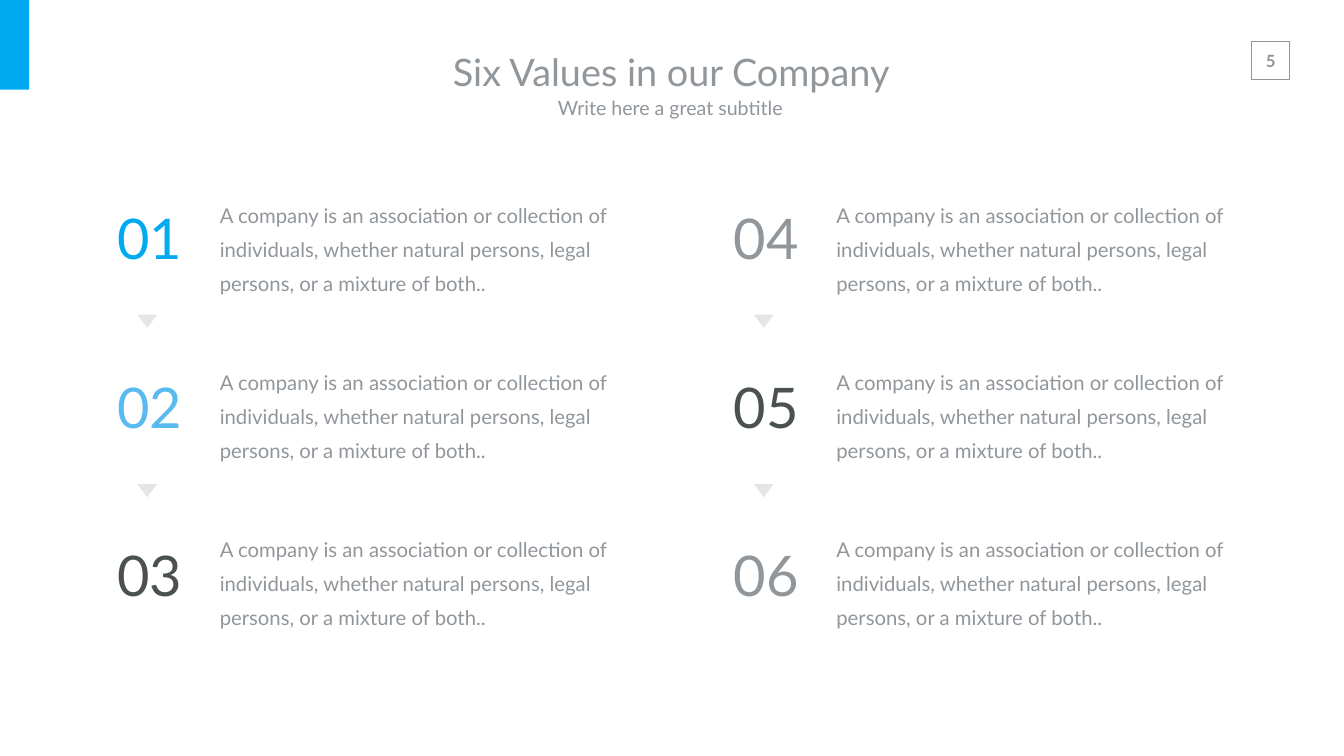
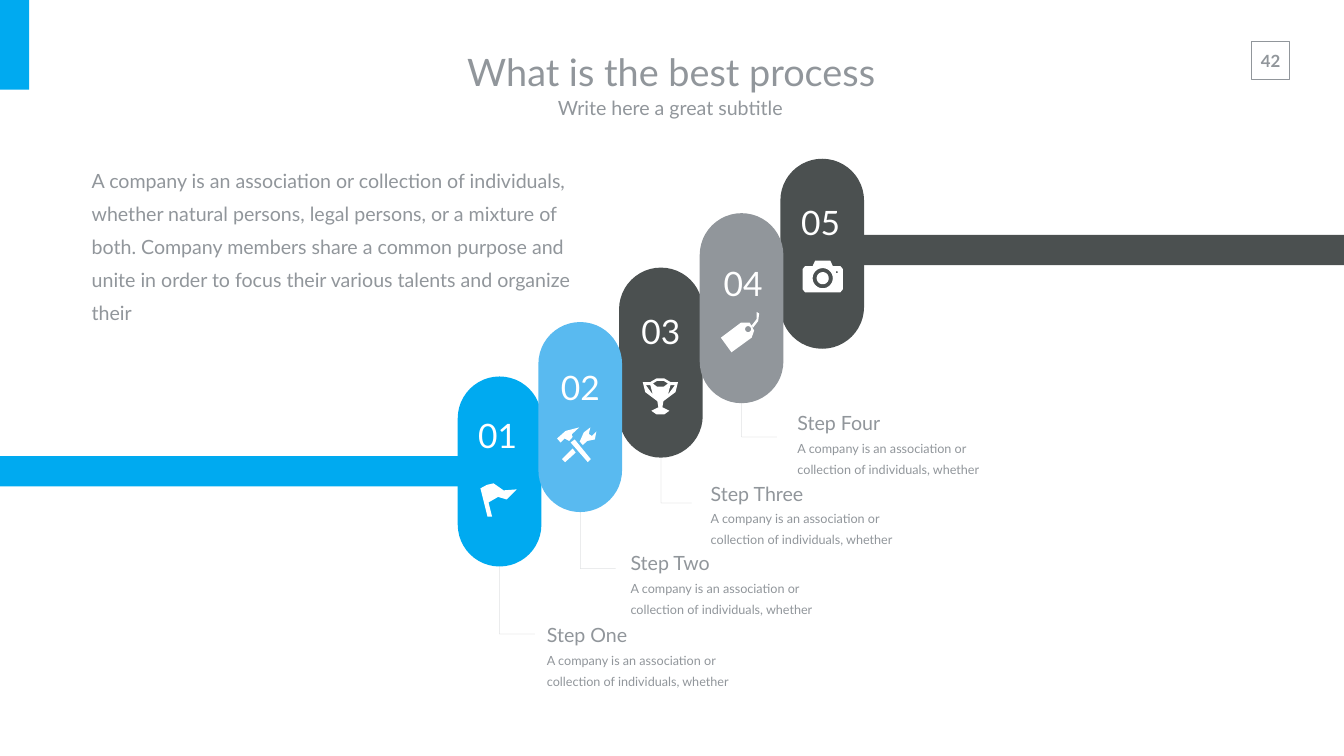
"""Build two company slides: six values and a five-step process."""
from math import cos, pi, sin

from pptx import Presentation
from pptx import util as u
from pptx.dml.color import RGBColor
from pptx.enum import shapes, text
from pptx.oxml.ns import qn
from pptx.oxml.xmlchemy import OxmlElement

PX = u.Inches(1) // 100
FINE = 10
FONT = "Lato"
COLORS = {"blue": "00AAF0", "sky": "59BAF0", "dark": "4B5050",
          "gray": "91969B", "light": "E5E5E5", "white": "FFFFFF"}
MIDDLE = text.MSO_ANCHOR.MIDDLE
CENTER = text.PP_ALIGN.CENTER
GROW = text.MSO_AUTO_SIZE.SHAPE_TO_FIT_TEXT
SHAPE = shapes.MSO_SHAPE

VALUE_TEXT = ("A company is an association or collection of individuals, whether natural "
              "persons, legal persons, or a mixture of both..")
PROCESS_TEXT = ("A company is an association or collection of individuals, whether natural "
                "persons, legal persons, or a mixture of both. Company members share a common "
                "purpose and unite in order to focus their various talents and organize their")
STEP_LINES = ["A company is an association or", "collection of individuals, whether"]
VALUE_COLORS = ["blue", "sky", "dark", "gray", "dark", "gray"]
PILL_COLORS = ["blue", "sky", "dark", "gray", "dark"]
PILL_ORDER = [0, 2, 4, 3, 1]
NUMBER_PLACES = [(911, 787), (1075, 691), (1235, 580), (1398, 484), (1552, 364)]
STEPS = [
    ("Step One", (1061, 1258), (1075, 1213, 525, 159)),
    ("Step Two", (1221, 1128), (1241, 1070, 647, 159)),
    ("Step Three", (1372, 998), (1400, 932, 525, 159)),
    ("Step Four", (1541, 867), (1572, 792, 478, 159)),
]


def circle(center_x, center_y, radius, count=32):
    """Return the points of a circle."""
    angles = [2 * pi * index / count for index in range(count)]
    return [(center_x + radius * cos(a), center_y + radius * sin(a)) for a in angles]


def mirror(points, axis):
    """Return points reflected about a vertical axis, in reverse order."""
    return [(2 * axis - x, y) for x, y in reversed(points)]


def symmetric(points, axis):
    """Return an outline from its left half."""
    return points + mirror(points, axis)


CUP_AXIS, CAMERA_AXIS = 1310, 1632
CUP_HANDLE = [(1281, 764), (1290, 764), (1295, 783)]
ICONS = {
    "tag": [
        [(1430, 670), (1470, 640), (1487, 640), (1496, 656), (1491, 670), (1451, 699)],
        [(1491, 646), (1501, 633), (1501, 619), (1506, 622), (1504, 637), (1494, 650)],
        circle(1484, 653, 6),
    ],
    "camera": [
        symmetric([(1617, 517), (1612, 528), (1597, 528), (1592, 534), (1592, 574),
                   (1597, 580)], CAMERA_AXIS),
        circle(CAMERA_AXIS, 552, 20),
        circle(CAMERA_AXIS, 552, 12),
        circle(1660, 540, 2),
    ],
    "trophy": [
        symmetric([(1302, 751), (1290, 758), (1275, 758), (1280, 778), (1304, 796),
                   (1306, 808), (1292, 815), (1302, 822)], CUP_AXIS),
        symmetric([(1303, 756), (1295, 761), (1303, 767)], CUP_AXIS),
        CUP_HANDLE,
        mirror(CUP_HANDLE, CUP_AXIS),
    ],
    "flag": [
        [(953, 969), (966, 962), (979, 959), (999, 973), (1025, 971), (1005, 991),
         (988, 986), (969, 997), (976, 1025), (967, 1025)],
    ],
    "tools": [
        [(1105, 870), (1122, 855), (1149, 848), (1134, 862), (1136, 867), (1129, 875),
         (1120, 870), (1112, 878)],
        [(1132, 878), (1140, 872), (1172, 911), (1166, 917)],
        [(1150, 876), (1158, 858), (1171, 848), (1168, 861), (1174, 865), (1183, 856),
         (1180, 872), (1165, 875), (1156, 883)],
        [(1115, 911), (1136, 890), (1142, 898), (1121, 917)],
    ],
}


def color_of(name):
    """Return a named colour."""
    return RGBColor.from_string(COLORS[name])


def emu(lengths):
    """Turn px lengths into EMU."""
    return [round(length * PX) for length in lengths]


def apply_format(target, values):
    """Set attributes from a dict of format values."""
    for name, value in values.items():
        setattr(target, name, value)


def paint(shape, fill=None, line=None):
    """Give a shape a plain fill and outline without shadow."""
    shape.shadow.inherit = False
    if fill:
        shape.fill.solid()
        shape.fill.fore_color.rgb = color_of(fill)
    else:
        shape.fill.background()
    if line:
        shape.line.color.rgb = color_of(line)
        shape.line.width = u.Pt(1)
    else:
        shape.line.fill.background()


def add_block(slide, kind, box, fill=None, line=None, adjustments=(), rotation=0):
    """Add a preset shape."""
    shape = slide.shapes.add_shape(kind, *emu(box))
    for index, value in enumerate(adjustments):
        shape.adjustments[index] = value
    shape.rotation = rotation
    paint(shape, fill, line)


def add_text(slide, box, lines, color="gray", bold=None, insets=(10, 5),
             frame_format=None, **paragraph_format):
    """Add a text box from (text, size) lines."""
    frame = slide.shapes.add_textbox(*emu(box)).text_frame
    side, edge = emu(insets)
    apply_format(frame, {"word_wrap": True, "auto_size": GROW, "margin_left": side,
                         "margin_right": side, "margin_top": edge, "margin_bottom": edge,
                         **(frame_format or {})})
    for index, (content, size) in enumerate(lines):
        paragraph = frame.add_paragraph() if index else frame.paragraphs[0]
        run = paragraph.add_run()
        run.text = content
        apply_format(paragraph, paragraph_format)
        apply_format(run.font, {"name": FONT, "size": u.Pt(size), "bold": bold})
        run.font.color.rgb = color_of(color)


def add_elbow(slide, start, end):
    """Add a thin connector that goes down and then right."""
    across, down = end[0] - start[0], end[1] - start[1]
    left = (start[0] + end[0] - down) / 2
    top = (start[1] + end[1] - across) / 2
    connector = slide.shapes.add_connector(
        shapes.MSO_CONNECTOR.ELBOW, *emu((left, top, left + down, top + across)))
    connector.line.color.rgb = color_of("gray")
    connector.line.width = u.Pt(0.25)
    properties = connector.element.spPr
    properties.find(qn("a:prstGeom")).set("prst", "bentConnector2")
    transform = properties.find(qn("a:xfrm"))
    transform.set("rot", "16200000")
    transform.set("flipH", "1")
    alpha = OxmlElement("a:alpha")
    alpha.set("val", "50000")
    next(properties.iter(qn("a:srgbClr"))).append(alpha)
    properties.append(OxmlElement("a:effectLst"))


def add_icon(slide, contours):
    """Add a white icon drawn from closed contours."""
    outlines = [[(x * FINE, y * FINE) for x, y in contour] for contour in contours]
    builder = slide.shapes.build_freeform(*outlines[0][0], scale=PX / FINE)
    for index, outline in enumerate(outlines):
        if index:
            builder.move_to(*outline[0])
        builder.add_line_segments(outline[1:], close=True)
    paint(builder.convert_to_shape(), "white")


def add_slide(presentation, title, number):
    """Add a slide with its corner band, page number and titles."""
    slide = presentation.slides.add_slide(presentation.slide_layouts[6])
    add_text(slide, (2480, 90, 81, 61), [(number, 24)], bold=True, insets=(20, 10),
             frame_format={"word_wrap": False}, alignment=CENTER)
    add_block(slide, SHAPE.RECTANGLE, (2483, 82, 75, 75), line="gray")
    add_block(slide, SHAPE.RECTANGLE, (0, 0, 58, 178), "blue")
    for box, line in [((815, 83, 1033, 118), (title, 54)),
                      ((818, 176, 1033, 74), ("Write here a great subtitle ", 28))]:
        add_text(slide, box, [line], insets=(27, 13),
                 frame_format={"vertical_anchor": MIDDLE}, alignment=CENTER)
    return slide


def build_values(presentation):
    """Build the slide of six numbered values."""
    slide = add_slide(presentation, "Six Values in our Company", "5")
    for index, color in enumerate(VALUE_COLORS):
        column, row = divmod(index, 3)
        left = 177 + 1223 * column
        add_text(slide, (left, 369 + 335 * row, 240, 202), [(f"{index + 1:02}", 80)], color,
                 insets=(0, 0), alignment=CENTER,
                 frame_format={"vertical_anchor": MIDDLE, "auto_size": text.MSO_AUTO_SIZE.NONE})
        add_text(slide, (left + 239, 373 + 332 * row, 827, 222), [(VALUE_TEXT, 29)],
                 insets=(20, 10), line_spacing=1.4)
        if row < 2:
            add_block(slide, SHAPE.RIGHT_ARROW, (left + 102, 618 + 336 * row, 26, 39),
                      "light", adjustments=(0.32, 1), rotation=90)


def build_process(presentation):
    """Build the slide of the rising five-step process."""
    slide = add_slide(presentation, "What is the best process", "42")
    add_block(slide, SHAPE.RECTANGLE, (0, 905, 909, 60), "blue")
    add_block(slide, SHAPE.RECTANGLE, (1709, 466, 957, 60), "dark")
    pills = [(908 + 160 * index, 747 - 108 * index, 166, 377) for index in range(5)]
    for index in PILL_ORDER:
        add_block(slide, SHAPE.ROUNDED_RECTANGLE, pills[index], PILL_COLORS[index],
                  adjustments=(0.5,))
    for (left, top, width, height), (name, end, box) in zip(pills, STEPS):
        add_elbow(slide, (left + width // 2, top + height - 1), end)
        add_text(slide, box, [(name, 28)] + [(line, 18) for line in STEP_LINES],
                 line_spacing=1.4)
    add_text(slide, (172, 312, 1011, 271), [(PROCESS_TEXT, 28)], line_spacing=1.4)
    for index, place in enumerate(NUMBER_PLACES, 1):
        add_text(slide, (*place, 152, 118), [(f"{index:02}", 48)], "white",
                 alignment=CENTER, line_spacing=1.4)
    for contours in ICONS.values():
        add_icon(slide, contours)


def main():
    """Build and save the presentation."""
    presentation = Presentation()
    presentation.slide_width, presentation.slide_height = emu((2666, 1500))
    build_values(presentation)
    build_process(presentation)
    presentation.save("out.pptx")


if __name__ == "__main__":
    main()
